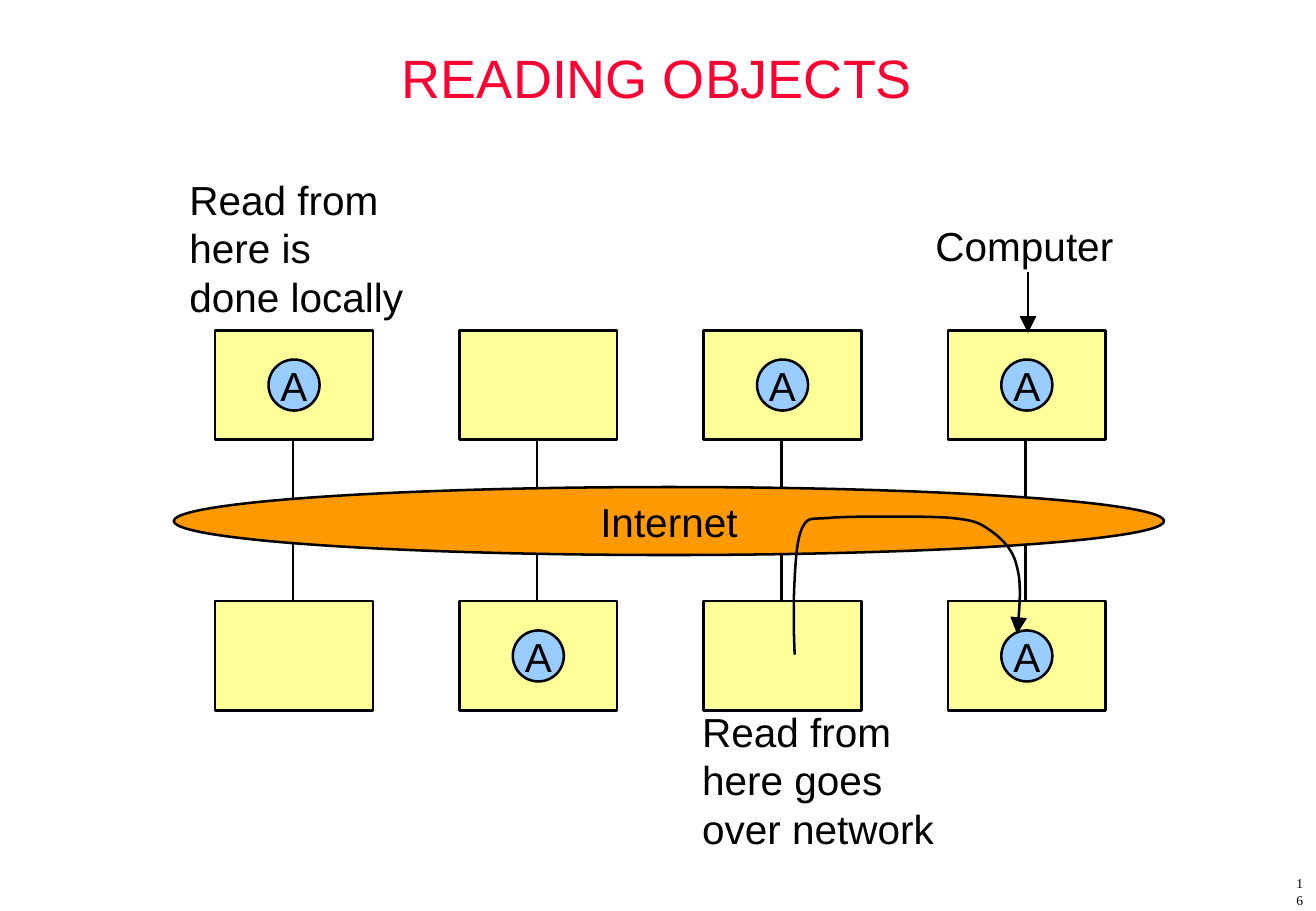
from pptx import Presentation
from pptx.dml.color import RGBColor
from pptx.enum.shapes import MSO_CONNECTOR, MSO_SHAPE
from pptx.enum.text import MSO_ANCHOR as Anchor, PP_ALIGN as Align
from pptx.oxml.ns import qn
from pptx.util import Inches, Pt
from lxml.etree import SubElement

SLIDE = (10.83, 7.5)
TITLE = ("READING OBJECTS", (0.81, 0.17, 9.2, 0.92))
PAGE = ("16", (10.57, 7.23, 0.22, 0.22))
NETWORK = ("Internet", (1.43, 4.01, 8.15, 0.56))
OBJECT = "A"
COMPUTER_ROWS = [
    (2.72, (True, False, True, True)),
    (4.95, (False, True, False, True)),
]
LABELS = [
    (("Read from", "here is", "done locally"), (1.46, 1.39, 2.1, 1.3)),
    (("Read from", "here goes", "over network"), (5.68, 5.77, 2.25, 1.3)),
    (("Computer",), (7.6, 1.77, 1.8, 0.5)),
]
POINTER = ((8.46, 2.24), (8.46, 2.74))
READ_START = (6.54, 5.39)
READ_CURVES = [
    ((6.53, 5.16), (6.53, 4.94), (6.54, 4.76)),
    ((6.55, 4.59), (6.56, 4.42), (6.61, 4.33)),
    ((6.66, 4.25), (6.67, 4.28), (6.87, 4.26)),
    ((7.06, 4.25), (7.57, 4.25), (7.78, 4.26)),
    ((7.99, 4.28), (8.04, 4.29), (8.14, 4.36)),
    ((8.24, 4.43), (8.34, 4.52), (8.37, 4.67)),
    ((8.41, 4.81), (8.39, 5.02), (8.37, 5.22)),
]
CURVE_STEPS = 12

FIRST_LEFT, PITCH = 1.77, 2.01
COMPUTER_W, COMPUTER_H = 1.3, 0.9
OBJECT_SIZE = 0.42


class Theme:
    title, ink = RGBColor(255, 0, 51), RGBColor(0, 0, 0)
    computer, item = RGBColor(255, 255, 153), RGBColor(153, 204, 255)
    network = RGBColor(255, 153, 0)
    font, page_font = "Arial", "Times New Roman"
    title_size, body_size, page_size = Pt(32), Pt(24), Pt(8)
    line_width = Pt(1.5)


def write(shape, lines, size=Theme.body_size, color=Theme.ink, font=Theme.font,
          align=Align.LEFT, anchor=Anchor.TOP, wrap=False):
    frame = shape.text_frame
    frame.word_wrap = wrap
    frame.vertical_anchor = anchor
    frame.text = "\n".join(lines)
    for paragraph in frame.paragraphs:
        paragraph.alignment = align
        paragraph.font.size = size
        paragraph.font.name = font
        paragraph.font.color.rgb = color


def add_text(lines, box, **style):
    write(slide.shapes.add_textbox(*map(Inches, box)), lines, **style)


def outline(line):
    line.color.rgb = Theme.ink
    line.width = Theme.line_width


def add_filled(kind, box, fill, label=None):
    shape = slide.shapes.add_shape(kind, *map(Inches, box))
    shape.shadow.inherit = False
    shape.fill.solid()
    shape.fill.fore_color.rgb = fill
    outline(shape.line)
    if label:
        write(shape, [label], align=Align.CENTER, anchor=Anchor.MIDDLE)


def add_line(start, end):
    line = slide.shapes.add_connector(MSO_CONNECTOR.STRAIGHT, *map(Inches, start + end))
    outline(line.line)
    SubElement(line._element.spPr, qn("a:effectLst"))
    return line


def add_arrowhead(shape):
    SubElement(shape.line._get_or_add_ln(), qn("a:tailEnd"),
               type="triangle", w="lg", len="lg")


def bezier(a, b, c, d, t):
    u = 1 - t
    return tuple(Inches(u**3 * p + 3 * u * u * t * q + 3 * u * t * t * r + t**3 * s)
                 for p, q, r, s in zip(a, b, c, d))


def add_read_route():
    points, start = [], READ_START
    for curve in READ_CURVES:
        points += [bezier(start, *curve, step / CURVE_STEPS)
                   for step in range(1, CURVE_STEPS + 1)]
        start = curve[-1]
    builder = slide.shapes.build_freeform(*map(Inches, READ_START))
    builder.add_line_segments(points, close=False)
    route = builder.convert_to_shape()
    route.shadow.inherit = False
    route.fill.background()
    outline(route.line)
    add_arrowhead(route)


prs = Presentation()
prs.slide_width, prs.slide_height = map(Inches, SLIDE)
slide = prs.slides.add_slide(prs.slide_layouts[6])

title, title_box = TITLE
add_text([title], title_box, size=Theme.title_size, color=Theme.title,
         align=Align.CENTER, anchor=Anchor.MIDDLE, wrap=True)

lefts = [FIRST_LEFT + PITCH * column for column in range(4)]
top_row, bottom_row = (top for top, _ in COMPUTER_ROWS)
for left in lefts:
    center = left + COMPUTER_W / 2 - 0.01
    add_line((center, top_row + COMPUTER_H), (center, bottom_row))

for top, holds_object in COMPUTER_ROWS:
    for left, holds in zip(lefts, holds_object):
        add_filled(MSO_SHAPE.RECTANGLE, (left, top, COMPUTER_W, COMPUTER_H), Theme.computer)
        if holds:
            add_filled(MSO_SHAPE.OVAL,
                       (left + (COMPUTER_W - OBJECT_SIZE) / 2,
                        top + (COMPUTER_H - OBJECT_SIZE) / 2,
                        OBJECT_SIZE, OBJECT_SIZE), Theme.item, OBJECT)

network, network_box = NETWORK
add_filled(MSO_SHAPE.OVAL, network_box, Theme.network, network)

for lines, box in LABELS:
    add_text(lines, box, wrap=True)

add_read_route()
add_arrowhead(add_line(*POINTER))

page, page_box = PAGE
add_text([page], page_box, size=Theme.page_size, font=Theme.page_font,
         align=Align.RIGHT, anchor=Anchor.MIDDLE, wrap=True)

prs.save("out.pptx")
